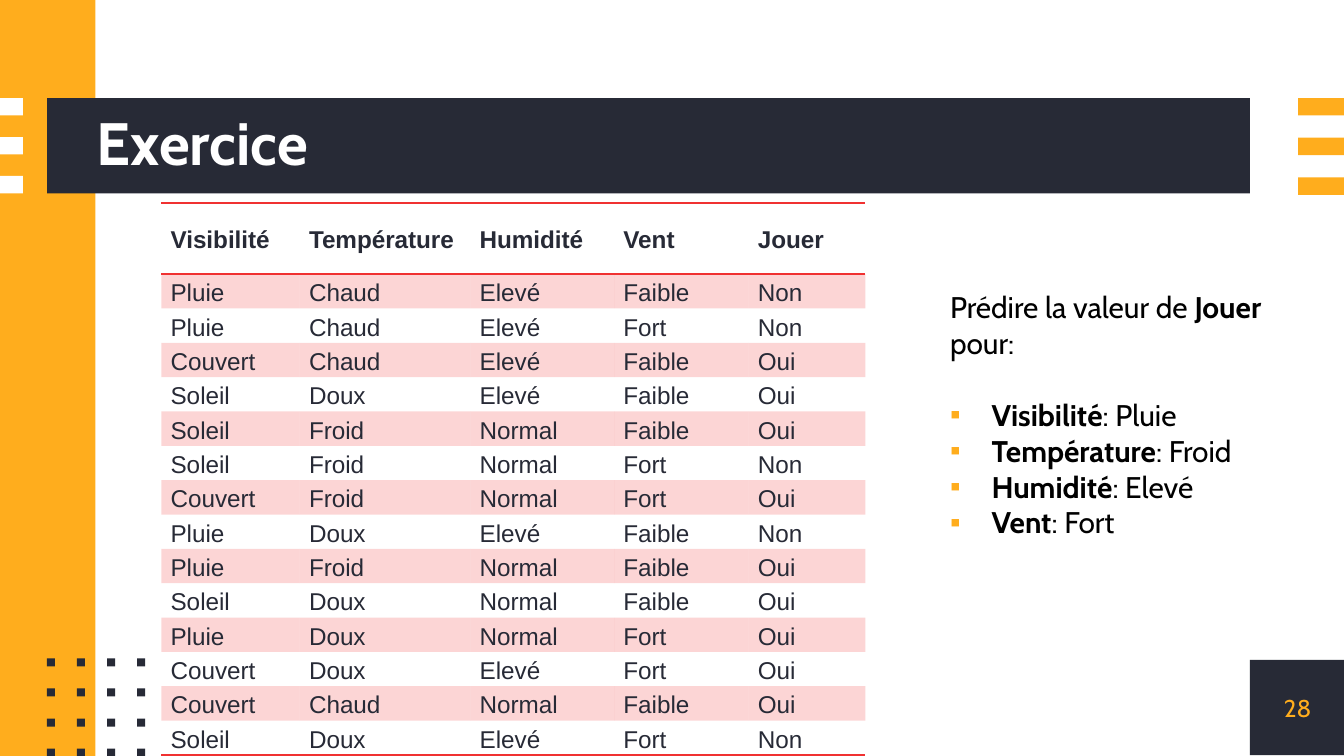
"""Build the exercise slide: weather training table and the case to predict."""
import pptx
import pptx.dml.color
import pptx.enum.shapes
import pptx.enum.text
import pptx.oxml
import pptx.oxml.ns
import pptx.util
from pptx.util import Inches

COLORS = {
    "navy": "272A36",
    "amber": "FFAD1D",
    "red": "F03131",
    "white": "FFFFFF",
    "black": "000000",
}
SLIDE_WIDTH = 10
SLIDE_HEIGHT = SLIDE_WIDTH * 9 / 16
NO_STYLE = "{2D5ABB26-0587-4C30-8999-92F81FD0307C}"
COLUMN_WIDTHS = [1.03, 1.27, 1.07, 1, 0.87]
HEADER_HEIGHT, TABLE_HEIGHT = 0.53, 4.11
ROWS = [
    ["Visibilité", "Température", "Humidité", "Vent", "Jouer"],
    ["Pluie", "Chaud", "Elevé", "Faible", "Non"],
    ["Pluie", "Chaud", "Elevé", "Fort", "Non"],
    ["Couvert", "Chaud", "Elevé", "Faible", "Oui"],
    ["Soleil", "Doux", "Elevé", "Faible", "Oui"],
    ["Soleil", "Froid", "Normal", "Faible", "Oui"],
    ["Soleil", "Froid", "Normal", "Fort", "Non"],
    ["Couvert", "Froid", "Normal", "Fort", "Oui"],
    ["Pluie", "Doux", "Elevé", "Faible", "Non"],
    ["Pluie", "Froid", "Normal", "Faible", "Oui"],
    ["Soleil", "Doux", "Normal", "Faible", "Oui"],
    ["Pluie", "Doux", "Normal", "Fort", "Oui"],
    ["Couvert", "Doux", "Elevé", "Fort", "Oui"],
    ["Couvert", "Chaud", "Normal", "Faible", "Oui"],
    ["Soleil", "Doux", "Elevé", "Fort", "Non"],
]
CASE = [
    ("Visibilité", "Pluie"),
    ("Température", "Froid"),
    ("Humidité", "Elevé"),
    ("Vent", "Fort"),
]


def rgb(name):
    return pptx.dml.color.RGBColor.from_string(COLORS[name])


def xml(markup):
    return pptx.oxml.parse_xml(markup.replace(" ", f" {pptx.oxml.ns.nsdecls('a')} ", 1))


def format_span(span, size, color, bold=False, font="Cabin"):
    span.font.size = pptx.util.Pt(size)
    span.font.name = font
    span.font.bold = bold
    span.font.color.rgb = rgb(color)


def add_span(para, text, bold=False):
    span = para.add_run()
    span.text = text
    format_span(span, 16, "black", bold)


def set_frame(shape, left, top, width, height):
    shape.left, shape.top = Inches(left), Inches(top)
    shape.width, shape.height = Inches(width), Inches(height)


def clear_margins(frame):
    frame.margin_left = frame.margin_right = frame.margin_top = frame.margin_bottom = 0
    frame.vertical_anchor = pptx.enum.text.MSO_ANCHOR.MIDDLE


def add_block(slide, left, top, width, height, color):
    block = slide.shapes.add_shape(
        pptx.enum.shapes.MSO_SHAPE.RECTANGLE,
        Inches(left), Inches(top), Inches(width), Inches(height))
    block.shadow.inherit = False
    block.fill.solid()
    block.fill.fore_color.rgb = rgb(color)
    block.line.fill.background()


def add_decoration(slide):
    add_block(slide, 9.3, 4.91, 0.71, 0.71, "navy")
    add_block(slide, 0, 0, 0.71, SLIDE_HEIGHT, "amber")
    add_block(slide, 0.35, 0.73, 8.95, 0.71, "navy")
    for index in range(3):
        add_block(slide, 0, 0.73 + 0.29 * index, 0.17, 0.13, "white")
        add_block(slide, 9.66, 0.73 + 0.59 * index / 2, 0.34, 0.13, "amber")
    dot_step = 0.67 / 3
    for row in range(4):
        for column in range(4):
            add_block(slide, 0.35 + dot_step * column, 4.9 + dot_step * row, 0.06, 0.06, "navy")


def add_title(slide, text):
    title = slide.shapes.title
    title.element.getparent().append(title.element)
    set_frame(title, 0.72, 0.73, 8.58, 0.71)
    clear_margins(title.text_frame)
    title.text_frame.text = text
    para = title.text_frame.paragraphs[0]
    para.alignment = pptx.enum.text.PP_ALIGN.LEFT
    para.line_spacing = 0.9
    format_span(para.runs[0], 32, "white", True)


def add_page_number(slide, number):
    box = slide.shapes.add_textbox(Inches(9.3), Inches(4.91), Inches(0.71), Inches(0.71))
    frame = box.text_frame
    frame.word_wrap = True
    clear_margins(frame)
    frame.text = str(number)
    frame.paragraphs[0].alignment = pptx.enum.text.PP_ALIGN.CENTER
    format_span(frame.paragraphs[0].runs[0], 13, "amber")


def fill_cell(cell, shaded):
    if not shaded:
        cell.fill.background()
        return
    cell.fill.solid()
    cell.fill.fore_color.rgb = rgb("red")
    color = cell._tc.tcPr.find(".//" + pptx.oxml.ns.qn("a:srgbClr"))
    color.append(xml('<a:alpha val="20000"/>'))


def add_borders(cell, sides):
    for index, side in enumerate(sides):
        cell._tc.tcPr.insert(index, xml(
            f'<a:ln{side} w="12700"><a:solidFill><a:srgbClr val="{COLORS["red"]}"/>'
            f'</a:solidFill></a:ln{side}>'))


def format_cell(cell, text, header):
    cell.margin_left = cell.margin_right = Inches(0.07)
    cell.margin_top = cell.margin_bottom = 0
    cell.vertical_anchor = pptx.enum.text.MSO_ANCHOR.MIDDLE
    cell.text_frame.text = text
    para = cell.text_frame.paragraphs[0]
    para.alignment = pptx.enum.text.PP_ALIGN.JUSTIFY
    para.line_spacing = 1.15
    para.space_after = pptx.util.Pt(10)
    format_span(para.runs[0], 13, "navy", header, "Arial")


def add_weather_table(slide):
    holder = slide.shapes.add_table(
        len(ROWS), len(COLUMN_WIDTHS), Inches(1.2), Inches(1.51),
        Inches(sum(COLUMN_WIDTHS)), Inches(TABLE_HEIGHT))
    table = holder.table
    table.horz_banding = False
    holder.element.find(".//" + pptx.oxml.ns.qn("a:tableStyleId")).text = NO_STYLE
    for column, width in zip(table.columns, COLUMN_WIDTHS):
        column.width = Inches(width)
    last = len(ROWS) - 1
    borders = {0: "TB", last: "B"}
    for index, values in enumerate(ROWS):
        height = (TABLE_HEIGHT - HEADER_HEIGHT) / last if index else HEADER_HEIGHT
        table.rows[index].height = Inches(height)
        for cell, text in zip(table.rows[index].cells, values):
            format_cell(cell, text, index == 0)
            fill_cell(cell, index % 2 == 1)
            add_borders(cell, borders.get(index, ""))


def add_bullet(para):
    properties = para._p.get_or_add_pPr()
    properties.set("marL", str(Inches(0.31)))
    properties.set("indent", str(-Inches(0.31)))
    properties.append(xml(f'<a:buClr ><a:srgbClr val="{COLORS["amber"]}"/></a:buClr>'))
    properties.append(xml('<a:buFont typeface="Arial"/>'))
    properties.append(xml('<a:buChar char="▪"/>'))


def add_question(slide):
    box = slide.shapes.add_textbox(Inches(6.97), Inches(2.1), Inches(2.91), Inches(1.99))
    frame = box.text_frame
    frame.word_wrap = True
    intro = frame.paragraphs[0]
    add_span(intro, "Prédire la valeur de ")
    add_span(intro, "Jouer", True)
    add_span(intro, " pour:")
    for index, (name, value) in enumerate(CASE):
        para = frame.add_paragraph()
        if index == 0:
            para.space_before = pptx.util.Pt(19.4)
        add_bullet(para)
        add_span(para, name, True)
        add_span(para, f": {value}")


def main():
    deck = pptx.Presentation()
    deck.slide_width, deck.slide_height = Inches(SLIDE_WIDTH), Inches(SLIDE_HEIGHT)
    slide = deck.slides.add_slide(deck.slide_layouts[5])
    add_decoration(slide)
    add_title(slide, "Exercice")
    add_page_number(slide, 28)
    add_weather_table(slide)
    add_question(slide)
    deck.save("out.pptx")


if __name__ == "__main__":
    main()
